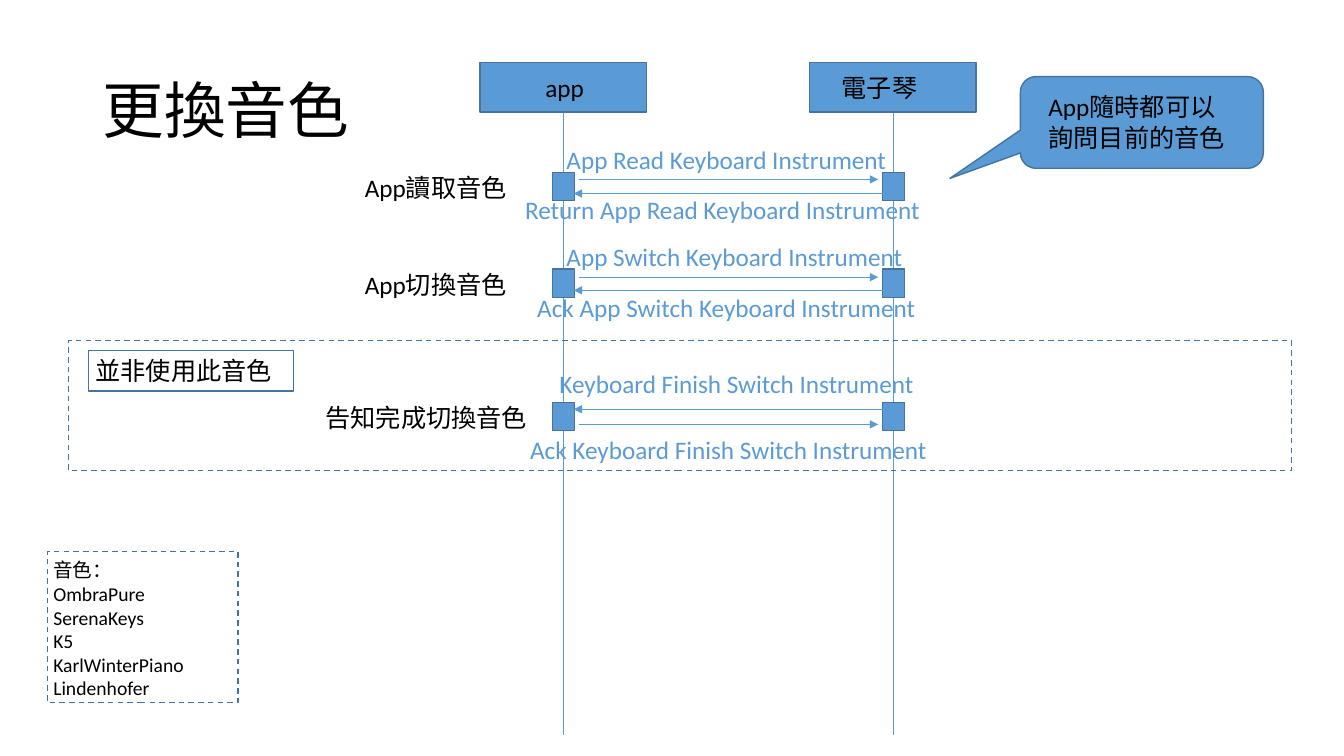
from pptx import Presentation
from pptx.dml.color import RGBColor
from pptx.enum.dml import MSO_LINE
from pptx.enum.shapes import MSO_CONNECTOR, MSO_SHAPE
from pptx.enum.text import MSO_ANCHOR
from pptx.oxml.ns import qn
from pptx.util import Inches, Pt
from lxml.etree import SubElement

BLUE = RGBColor(0x5B, 0x9B, 0xD5)
EDGE = RGBColor(0x43, 0x73, 0x9E)
BLACK = RGBColor(0, 0, 0)
CELL = Inches(0.1)


class Sketch:
    """Draws styled elements on one slide, in cells of a tenth of an inch."""

    def __init__(self, slide, font="Calibri"):
        self.shapes = slide.shapes
        self.font = font

    def grid(self, *cells):
        return [round(cell * CELL) for cell in cells]

    def box(self, x, y, w, h, fill=None, dash=False, kind=MSO_SHAPE.RECTANGLE):
        shape = self.shapes.add_shape(kind, *self.grid(x, y, w, h))
        shape.shadow.inherit = False
        if fill is None:
            shape.fill.background()
        else:
            shape.fill.solid()
            shape.fill.fore_color.rgb = fill
        shape.line.color.rgb = EDGE
        shape.line.width = Pt(1)
        if dash:
            shape.line.dash_style = MSO_LINE.DASH
        return shape

    def text(self, x, y, w, h, *lines, size=18, color=BLACK):
        frame = self.shapes.add_textbox(*self.grid(x, y, w, h)).text_frame
        frame.word_wrap = True
        for i, line in enumerate(lines):
            para = frame.add_paragraph() if i else frame.paragraphs[0]
            run = para.add_run()
            run.text = line
            run.font.name = self.font
            run.font.size = Pt(size)
            run.font.color.rgb = color
        return frame

    def line(self, x1, y1, x2, y2, arrow=False):
        link = self.shapes.add_connector(
            MSO_CONNECTOR.STRAIGHT, *self.grid(x1, y1, x2, y2))
        link.line.color.rgb = BLUE
        link.line.width = Pt(0.5)
        props = link._element.spPr
        if arrow:
            SubElement(props.find(qn("a:ln")), qn("a:tailEnd"), type="triangle")
        SubElement(props, qn("a:effectLst"))

    def title(self, x, y, w, h, words):
        frame = self.text(x, y, w, h, words, size=44)
        frame.vertical_anchor = MSO_ANCHOR.MIDDLE
        frame.paragraphs[0].line_spacing = 0.9

    def actor(self, mid, left, name):
        self.box(mid - 8.3, 6.2, 16.5, 4.9, BLUE)
        self.text(left, 6.7, 9.9, 4, name)
        self.line(mid, 11.2, mid, 72.9)

    def step(self, top, name, left, send, reply, upper, lower):
        for mid in (APP, KEYS):
            self.box(mid - 1.1, top, 2.2, 2.8, BLUE)
        self.text(left, top - 0.5, 23.4, 4, name)
        self.line(APP + 1.5, top + send, KEYS - 1.5, top + send, arrow=True)
        self.line(KEYS, top + reply, APP + 1, top + reply, arrow=True)
        for x, y, words in (upper, lower):
            self.text(x, top + y, 44.6, 4, words, color=BLUE)


APP, KEYS = 55.9, 88.6
STEPS = [
    (17.1, "App讀取音色", 35.2, 0.7, 2.1,
     (55.2, -3.3, "App Read Keyboard Instrument"),
     (51.1, 1.7, "Return App Read Keyboard Instrument")),
    (26.7, "App切換音色", 35.2, 0.8, 2.1,
     (55.2, -3.3, "App Switch Keyboard Instrument"),
     (52.3, 1.8, "Ack App Switch Keyboard Instrument")),
    (39.9, "告知完成切換音色", 31.3, 2.2, 0.7,
     (54.5, -3.8, "Keyboard Finish Switch Instrument"),
     (51.6, 2.7, "Ack Keyboard Finish Switch Instrument")),
]
SOUNDS = ["OmbraPure", "SerenaKeys", "K5", "KarlWinterPiano", "Lindenhofer"]


def main():
    deck = Presentation()
    deck.slide_width, deck.slide_height = Inches(13.33), Inches(7.5)
    art = Sketch(deck.slides.add_slide(deck.slide_layouts[6]))

    art.title(9.2, 4, 115, 14.5, "更換音色")
    art.actor(APP, 53.1, "app")
    art.actor(KEYS, 82.5, "電子琴")
    for step in STEPS:
        art.step(*step)

    art.box(4.7, 54.7, 18.9, 15, dash=True)
    art.text(4.3, 54.9, 18.2, 15.1, "音色：", *SOUNDS, size=14)

    art.box(6.8, 33.8, 121.3, 12.9, dash=True)
    art.box(8.8, 34.8, 20.3, 4)
    art.text(8.5, 34.8, 30.7, 4, "並非使用此音色")

    note = art.box(101.2, 7.6, 24.1, 9.1, BLUE,
                   kind=MSO_SHAPE.ROUNDED_RECTANGULAR_CALLOUT)
    for i, value in enumerate((-0.79, 0.61, 0.17)):
        note.adjustments[i] = value
    art.text(103, 8.6, 20.2, 7.1, "App隨時都可以詢問目前的音色")

    deck.save("out.pptx")


if __name__ == "__main__":
    main()
